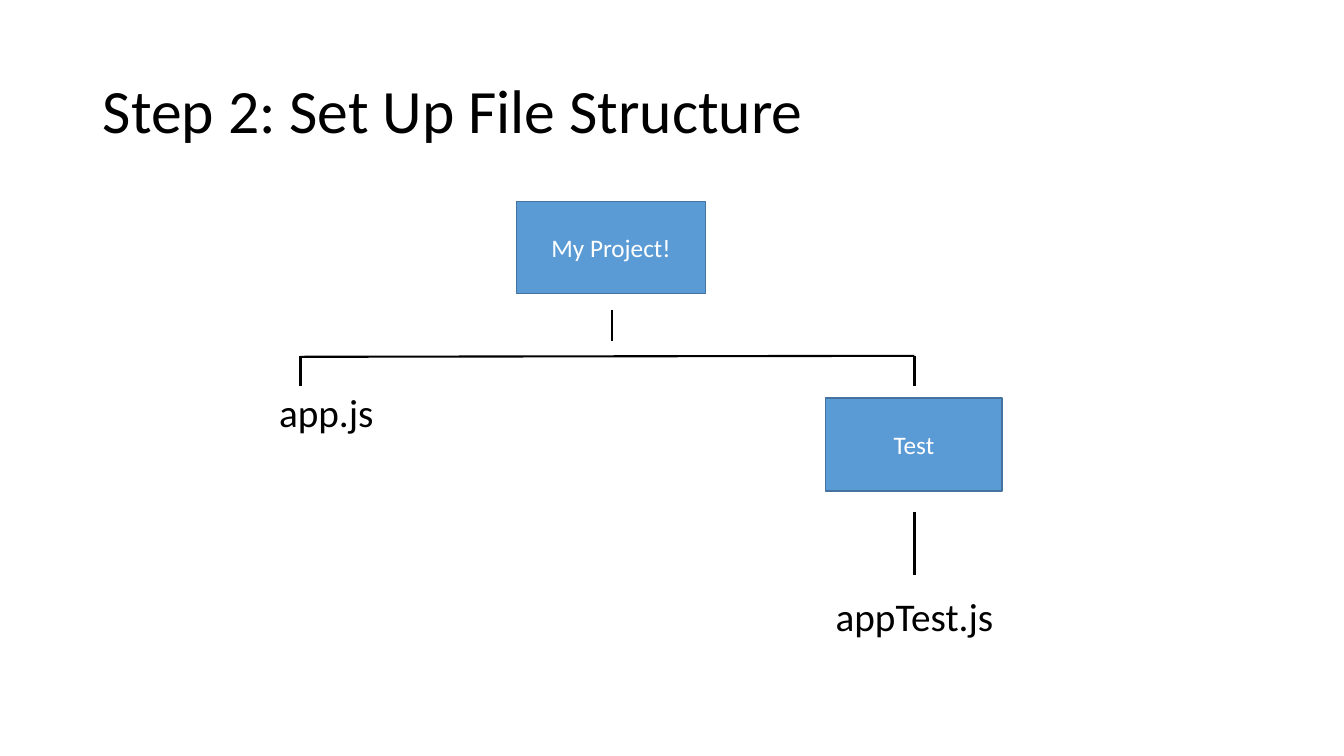
import pptx
import pptx.dml.color
import pptx.enum.shapes
import pptx.enum.text
import pptx.oxml.ns
import pptx.util
from dataclasses import dataclass

EMU_PER_PX = 9144  # 100 px to the inch


@dataclass(frozen=True)
class Theme:
    font: str = "Calibri"
    ink: str = "000000"
    paper: str = "FFFFFF"
    folder_fill: str = "5B9BD5"
    folder_line: str = "43739E"
    title_size: int = 44
    file_size: int = 28
    folder_size: int = 18
    border_width: float = 1
    branch_width: float = 1.5


def px(length):
    return pptx.util.Emu(length * EMU_PER_PX)


def rgb(color):
    return pptx.dml.color.RGBColor.from_string(color)


class TreeSlide:
    def __init__(self, presentation, theme):
        self.theme = theme
        self.slide = presentation.slides.add_slide(presentation.slide_layouts[5])

    def set_text(self, shape, text, size, color, align, anchor):
        frame = shape.text_frame
        frame.word_wrap = True
        frame.vertical_anchor = anchor
        paragraph = frame.paragraphs[0]
        paragraph.text = text
        paragraph.alignment = align
        paragraph.font.name = self.theme.font
        paragraph.font.size = pptx.util.Pt(size)
        paragraph.font.color.rgb = rgb(color)
        return paragraph

    def title(self, text, left, top, width, height):
        shape = self.slide.shapes.title
        shape.left, shape.top = px(left), px(top)
        shape.width, shape.height = px(width), px(height)
        paragraph = self.set_text(shape, text, self.theme.title_size, self.theme.ink,
                                  pptx.enum.text.PP_ALIGN.LEFT,
                                  pptx.enum.text.MSO_ANCHOR.MIDDLE)
        paragraph.line_spacing = 0.9

    def folder(self, text, left, top, width, height):
        shape = self.slide.shapes.add_shape(
            pptx.enum.shapes.MSO_SHAPE.RECTANGLE,
            px(left), px(top), px(width), px(height))
        shape.shadow.inherit = False
        shape.fill.solid()
        shape.fill.fore_color.rgb = rgb(self.theme.folder_fill)
        shape.line.color.rgb = rgb(self.theme.folder_line)
        shape.line.width = pptx.util.Pt(self.theme.border_width)
        self.set_text(shape, text, self.theme.folder_size, self.theme.paper,
                      pptx.enum.text.PP_ALIGN.CENTER,
                      pptx.enum.text.MSO_ANCHOR.MIDDLE)

    def file(self, text, left, top, width=238, height=57):
        shape = self.slide.shapes.add_textbox(px(left), px(top), px(width), px(height))
        self.set_text(shape, text, self.theme.file_size, self.theme.ink,
                      pptx.enum.text.PP_ALIGN.LEFT, pptx.enum.text.MSO_ANCHOR.TOP)
        shape.text_frame.auto_size = pptx.enum.text.MSO_AUTO_SIZE.SHAPE_TO_FIT_TEXT

    def branch(self, start_x, start_y, end_x, end_y):
        connector = self.slide.shapes.add_connector(
            pptx.enum.shapes.MSO_CONNECTOR.STRAIGHT,
            px(start_x), px(start_y), px(end_x), px(end_y))
        connector.line.color.rgb = rgb(self.theme.ink)
        connector.line.width = pptx.util.Pt(self.theme.branch_width)
        # An empty effect list removes the shadow
        properties = connector._element.spPr
        properties.append(properties.makeelement(
            pptx.oxml.ns.qn("a:effectLst"), {}))


def main():
    presentation = pptx.Presentation()
    presentation.slide_width = px(1333)
    presentation.slide_height = px(750)
    tree = TreeSlide(presentation, Theme())

    tree.title("Step 2: Set Up File Structure", 92, 40, 1150, 145)

    # Folders and files
    tree.folder("My Project!", 512, 200, 188, 91)
    tree.folder("Test", 819, 395, 175, 92)
    tree.file("app.js", 267, 380)
    tree.file("appTest.js", 819, 583)

    # Branches: trunk, crossbar, a drop to each child, then the test file
    root_x, app_x, test_x = 607, 298, 907
    bar_y, drop = 353, 30
    tree.branch(root_x, 308, root_x, 308 + drop)
    tree.branch(app_x, bar_y + 1, test_x, bar_y)
    for child_x in (app_x, test_x):
        tree.branch(child_x, bar_y, child_x, bar_y + drop)
    tree.branch(test_x, 508, test_x, 570)

    presentation.save("out.pptx")


if __name__ == "__main__":
    main()
